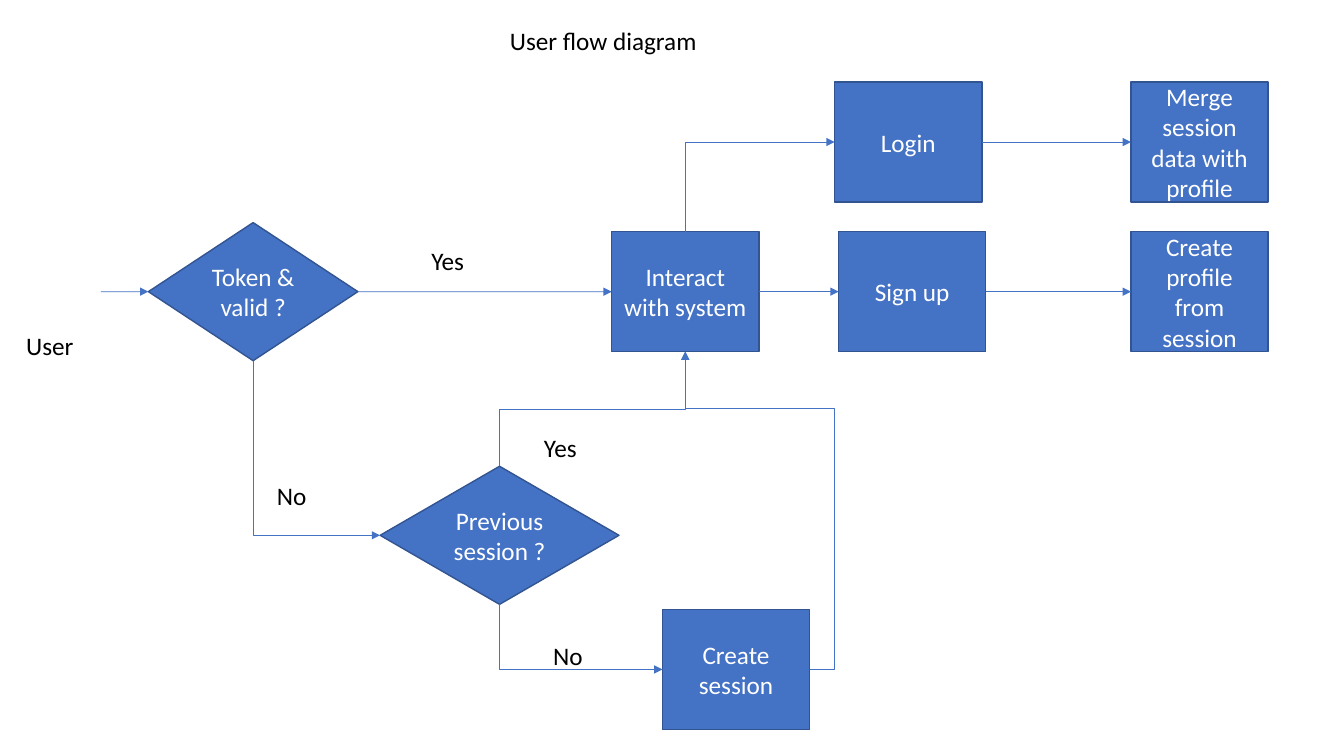
from pptx import Presentation
from pptx import util as u
from pptx.dml.color import RGBColor
from pptx.enum import shapes, text
from pptx.oxml.ns import qn
from lxml import etree

COLORS = {"fill": "4472C4", "border": "325491", "label": "000000", "node": "FFFFFF"}
TOP, LEFT, BOTTOM, RIGHT = range(4)
RECTANGLE = shapes.MSO_SHAPE.RECTANGLE
DIAMOND = shapes.MSO_SHAPE.DIAMOND


class FlowSlide:
    """Slide under construction together with the diagram's style."""

    font = {"name": "Calibri", "size": u.Pt(18)}
    node_frame = {"word_wrap": True, "vertical_anchor": text.MSO_ANCHOR.MIDDLE}
    label_frame = {"word_wrap": False, "auto_size": text.MSO_AUTO_SIZE.SHAPE_TO_FIT_TEXT}

    def __init__(self, presentation):
        self.slide = presentation.slides.add_slide(presentation.slide_layouts[6])

    def color(self, name):
        return RGBColor.from_string(COLORS[name])

    def set_text(self, shape, words, color, frame_format, alignment):
        frame = shape.text_frame
        for name, value in frame_format.items():
            setattr(frame, name, value)
        paragraph = frame.paragraphs[0]
        paragraph.alignment = alignment
        run = paragraph.add_run()
        run.text = words
        for name, value in self.font.items():
            setattr(run.font, name, value)
        run.font.color.rgb = self.color(color)

    def label(self, words, left, top, width):
        box = self.slide.shapes.add_textbox(u.Cm(left), u.Cm(top), u.Cm(width), u.Cm(1.03))
        self.set_text(box, words, "label", self.label_frame, text.PP_ALIGN.LEFT)

    def node(self, words, x, y, width=3.71, height=3.02, kind=RECTANGLE):
        """Add a step or decision centred on (x, y)."""
        shape = self.slide.shapes.add_shape(
            kind, u.Cm(x - width / 2), u.Cm(y - height / 2), u.Cm(width), u.Cm(height))
        shape.shadow.inherit = False
        shape.fill.solid()
        shape.fill.fore_color.rgb = self.color("fill")
        shape.line.color.rgb = self.color("border")
        shape.line.width = u.Pt(1)
        self.set_text(shape, words, "node", self.node_frame, text.PP_ALIGN.CENTER)
        return shape

    def arrow(self, start, end, preset=None, adjustments=()):
        """Join two (shape, side) pairs; a start may also be a free (x, y) point in cm."""
        kind = shapes.MSO_CONNECTOR.ELBOW if preset else shapes.MSO_CONNECTOR.STRAIGHT
        origin, side = start
        free = isinstance(origin, float)
        x, y = (u.Cm(origin), u.Cm(side)) if free else (0, 0)
        connector = self.slide.shapes.add_connector(kind, x, y, x, y)
        if not free:
            connector.begin_connect(origin, side)
        connector.end_connect(*end)
        connector.line.color.rgb = self.color("fill")
        connector.line.width = u.Pt(0.5)
        properties = connector._element.spPr
        etree.SubElement(properties.find(qn("a:ln")), qn("a:tailEnd"), type="triangle")
        etree.SubElement(properties, qn("a:effectLst"))
        if preset:
            self.bend(connector, preset, adjustments, side in (TOP, BOTTOM))

    def bend(self, connector, preset, adjustments, vertical_start):
        """Set the elbow's preset, turning it when it leaves a top or bottom side."""
        properties = connector._element.spPr
        geometry = properties.find(qn("a:prstGeom"))
        geometry.set("prst", preset)
        guides = geometry.find(qn("a:avLst"))
        for number, value in enumerate(adjustments, 1):
            etree.SubElement(guides, qn("a:gd"), name=f"adj{number}",
                             fmla=f"val {round(value * 100000)}")
        if not vertical_start:
            return
        upward = connector.end_y < connector.begin_y
        width, height = connector.width, connector.height
        shift = (width - height) // 2
        turned = {"left": connector.left + shift, "top": connector.top - shift,
                  "width": height, "height": width}
        for name, value in turned.items():
            setattr(connector, name, value)
        frame = properties.find(qn("a:xfrm"))
        frame.set("rot", str((90 if upward else 270) * 60000))
        frame.set("flipH", "1")
        frame.set("flipV", "1" if upward else "0")


def main():
    presentation = Presentation()
    presentation.slide_width, presentation.slide_height = u.Cm(33.87), u.Cm(19.05)
    flow = FlowSlide(presentation)

    upper, middle, lower, base = 3.58, 7.35, 13.49, 16.87
    token = flow.node("Token & valid ?", 6.38, middle, 5.28, 3.48, DIAMOND)
    previous = flow.node("Previous session ?", 12.59, lower, 6.02, 3.48, DIAMOND)
    interact = flow.node("Interact with system", 17.27, middle)
    create = flow.node("Create session", 18.55, base)
    login = flow.node("Login", 22.89, upper)
    sign_up = flow.node("Sign up", 22.99, middle)
    merge = flow.node("Merge session data with profile", 30.23, upper, 3.46)
    profile = flow.node("Create profile from session", 30.23, middle, 3.46)

    flow.arrow((2.54, middle), (token, LEFT))
    for source, target in ((token, interact), (interact, sign_up),
                           (sign_up, profile), (login, merge)):
        flow.arrow((source, RIGHT), (target, LEFT))
    for start, target in (((token, BOTTOM), previous), ((previous, BOTTOM), create),
                          ((interact, TOP), login)):
        flow.arrow(start, (target, LEFT), "bentConnector2")
    flow.arrow((previous, TOP), (interact, BOTTOM), "bentConnector3", (0.5,))
    flow.arrow((create, RIGHT), (interact, BOTTOM), "bentConnector4", (-0.2, 0.82))

    for words, left, top, width in (
            ("User flow diagram", 12.6, 0.51, 5.28), ("User", 0.41, 8.2, 1.73),
            ("Yes", 10.62, 6.05, 1.35), ("Yes", 13.46, 10.77, 1.35),
            ("No", 6.73, 11.99, 1.27), ("No", 13.69, 16, 1.27)):
        flow.label(words, left, top, width)

    presentation.save("out.pptx")


if __name__ == "__main__":
    main()
